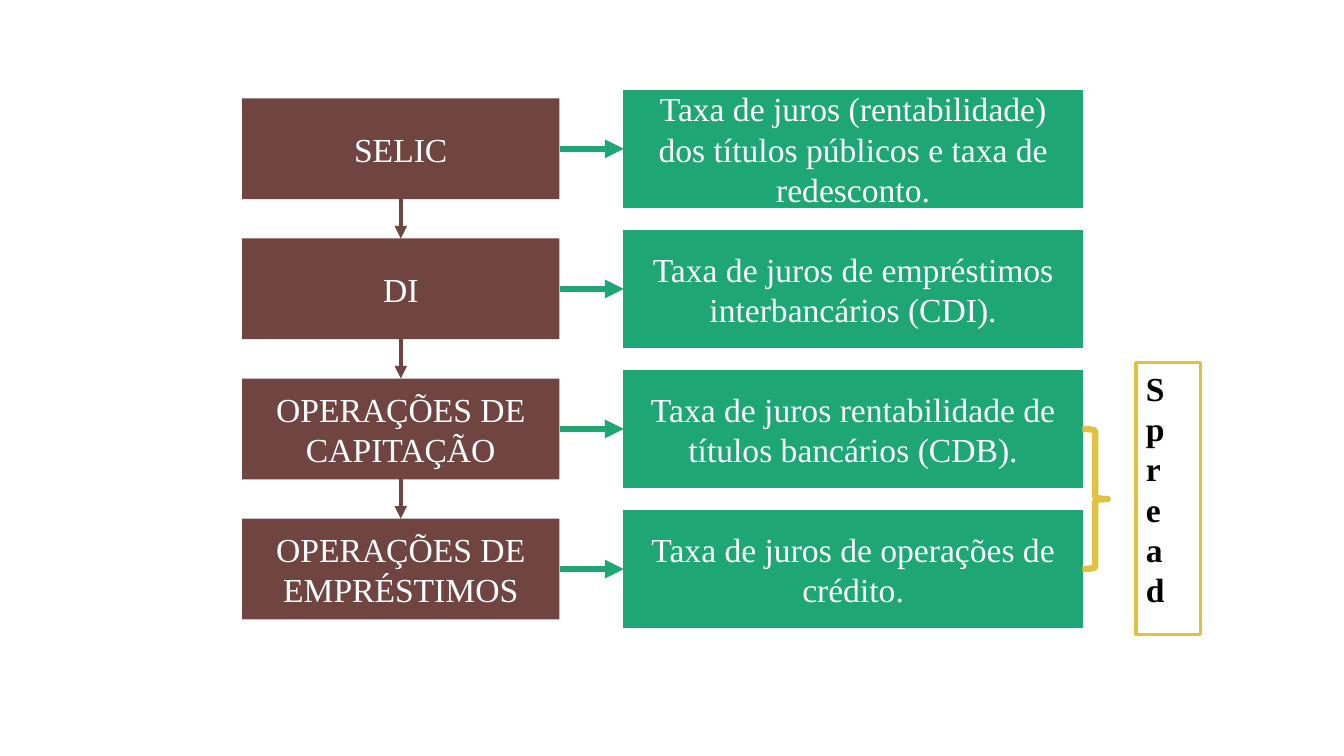
from dataclasses import dataclass

from lxml import etree
from pptx import Presentation
from pptx.dml.color import RGBColor
from pptx.enum.shapes import MSO_CONNECTOR, MSO_SHAPE
from pptx.enum.text import MSO_ANCHOR, MSO_AUTO_SIZE, PP_ALIGN
from pptx.oxml.ns import qn
from pptx.shapes.autoshape import Shape
from pptx.slide import Slide
from pptx.util import Cm, Pt

RECT, BRACE = MSO_SHAPE.RECTANGLE, MSO_SHAPE.RIGHT_BRACE
STRAIGHT = MSO_CONNECTOR.STRAIGHT
TOP, MIDDLE = MSO_ANCHOR.TOP, MSO_ANCHOR.MIDDLE
LEFT, CENTER = PP_ALIGN.LEFT, PP_ALIGN.CENTER
SITE_TOP, SITE_LEFT, SITE_BOTTOM, SITE_RIGHT = range(4)
BLANK_LAYOUT = 6


@dataclass(frozen=True)
class Theme:
    """Colours, font and sizes of the slide."""
    rate: str = "704441"
    meaning: str = "1EA674"
    spread: str = "E0C240"
    light: str = "FFFFFF"
    dark: str = "000000"
    font: str = "Times New Roman"
    text_pt: float = 24
    edge_pt: float = 1
    frame_pt: float = 2.25
    step_pt: float = 3
    link_pt: float = 4.5


@dataclass(frozen=True)
class Column:
    """Horizontal place and box height of one column, in centimetres."""
    left: float
    width: float
    height: float


@dataclass(frozen=True)
class Row:
    """A rate and what it means."""
    rate: str
    meaning: str


THEME = Theme()
RATES = Column(6.1, 8, 2.54)
MEANINGS = Column(15.72, 11.56, 2.95)
FIRST_CENTER, PITCH = 3.75, 3.53
ROWS = [
    Row("SELIC", "Taxa de juros (rentabilidade) dos títulos públicos e taxa de redesconto."),
    Row("DI", "Taxa de juros de empréstimos interbancários (CDI)."),
    Row("OPERAÇÕES DE CAPITAÇÃO", "Taxa de juros rentabilidade de títulos bancários (CDB)."),
    Row("OPERAÇÕES DE EMPRÉSTIMOS", "Taxa de juros de operações de crédito."),
]


def row_center(index: int) -> float:
    """Return the vertical centre of a row in centimetres."""
    return FIRST_CENTER + index * PITCH


def add_shape(s: Slide, kind: MSO_SHAPE, box: tuple[float, ...],
              fill: str | None = None, line: str | None = None,
              width: float = 0) -> Shape:
    """Add a shadowless shape with an optional fill and outline."""
    sp = s.shapes.add_shape(kind, *(Cm(v) for v in box))
    sp.shadow.inherit = False
    if fill:
        sp.fill.solid()
        sp.fill.fore_color.rgb = RGBColor.from_string(fill)
    else:
        sp.fill.background()
    if line:
        sp.line.color.rgb = RGBColor.from_string(line)
        sp.line.width = Pt(width)
    else:
        sp.line.fill.background()
    return sp


def write(sp: Shape, text: str, color: str, align: PP_ALIGN = CENTER,
          anchor: MSO_ANCHOR = MIDDLE, bold: bool = False) -> None:
    """Put one formatted paragraph in a shape."""
    tf = sp.text_frame
    tf.word_wrap, tf.vertical_anchor = True, anchor
    p = tf.paragraphs[0]
    p.alignment = align
    r = p.add_run()
    r.text = text
    formats = {"name": THEME.font, "size": Pt(THEME.text_pt), "bold": bold}
    for name, value in formats.items():
        setattr(r.font, name, value)
    r.font.color.rgb = RGBColor.from_string(color)


def add_box(s: Slide, column: Column, index: int, text: str, fill: str,
            line: str | None = None) -> Shape:
    """Add a column's text box, centred on its row."""
    top = row_center(index) - column.height / 2
    sp = add_shape(s, RECT, (column.left, top, column.width, column.height),
                   fill, line, THEME.edge_pt)
    write(sp, text, THEME.light)
    return sp


def add_arrow(s: Slide, start: Shape, start_site: int, end: Shape,
              end_site: int, color: str, width: float) -> None:
    """Join two boxes with an arrow."""
    cxn = s.shapes.add_connector(STRAIGHT, 0, 0, 0, 0)
    cxn.begin_connect(start, start_site)
    cxn.end_connect(end, end_site)
    cxn.line.color.rgb = RGBColor.from_string(color)
    cxn.line.width = Pt(width)
    etree.SubElement(cxn.line._get_or_add_ln(), qn("a:tailEnd"), type="triangle")
    etree.SubElement(cxn._element.spPr, qn("a:effectLst"))


def add_spread(s: Slide) -> None:
    """Bracket the last two rows and add the stacked label."""
    first = len(ROWS) - 2
    add_shape(s, BRACE, (MEANINGS.left + MEANINGS.width, row_center(first), 0.64, PITCH),
              line=THEME.spread, width=THEME.link_pt)
    sp = add_shape(s, RECT, (28.63, 9.14, 1.63, 6.86),
                   line=THEME.spread, width=THEME.frame_pt)
    write(sp, "Spread", THEME.dark, LEFT, TOP, bold=True)
    tf = sp.text_frame
    tf.word_wrap, tf.auto_size = False, MSO_AUTO_SIZE.SHAPE_TO_FIT_TEXT
    tf._txBody.bodyPr.set("vert", "wordArtVert")


def main() -> None:
    """Build and save the slide."""
    prs = Presentation()
    prs.slide_width, prs.slide_height = Cm(33.87), Cm(19.05)
    s = prs.slides.add_slide(prs.slide_layouts[BLANK_LAYOUT])
    rates = [add_box(s, RATES, i, row.rate, THEME.rate) for i, row in enumerate(ROWS)]
    meanings = [add_box(s, MEANINGS, i, row.meaning, THEME.meaning, THEME.meaning)
                for i, row in enumerate(ROWS)]
    for upper, lower in zip(rates, rates[1:]):
        add_arrow(s, upper, SITE_BOTTOM, lower, SITE_TOP, THEME.rate, THEME.step_pt)
    for rate, meaning in zip(rates, meanings):
        add_arrow(s, rate, SITE_RIGHT, meaning, SITE_LEFT, THEME.meaning, THEME.link_pt)
    add_spread(s)
    prs.save("out.pptx")


main()
